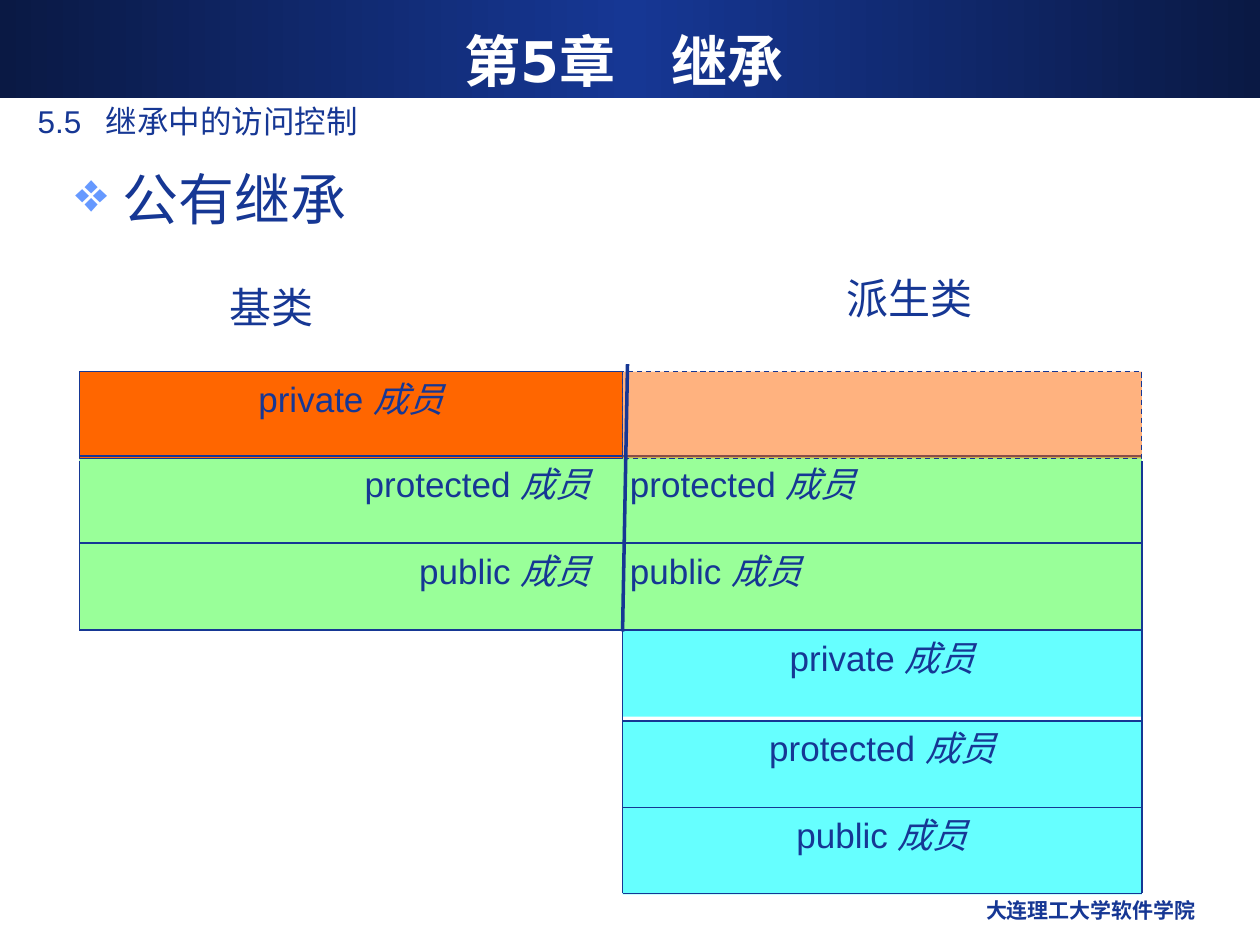
from copy import deepcopy
from typing import NamedTuple

from pptx import Presentation
from pptx.dml.color import RGBColor
from pptx.enum.dml import MSO_LINE
from pptx.enum.shapes import MSO_CONNECTOR, MSO_SHAPE
from pptx.enum.text import MSO_ANCHOR, PP_ALIGN
from pptx.oxml.ns import qn
from pptx.oxml.xmlchemy import OxmlElement
from pptx.util import Cm, Pt

COLORS = {
    "navy": "163794", "night": "0A1944", "white": "FFFFFF", "bullet": "6699FF",
    "orange": "FF6600", "green": "99FF99", "cyan": "66FFFF",
}

# Column edges and row edges of the diagram, in centimetres
LEFT, MIDDLE, RIGHT = 1.6, 12.55, 23.02
ROWS = [7.49, 9.2, 10.95, 12.7, 14.53, 16.28, 18.01]
ROW_HEIGHT = 1.75


class Label(NamedTuple):
    text: str
    left: float
    top: float
    width: float
    height: float
    size: int
    font: str = "Arial"
    color: str = "navy"
    bold: bool = False
    align: PP_ALIGN = PP_ALIGN.LEFT
    anchor: MSO_ANCHOR = MSO_ANCHOR.TOP
    inset: float = 0.25
    tabs: tuple = ()
    bullet: str = ""
    wrap: bool = True


class Band(NamedTuple):
    access: str
    row: int
    left: float
    right: float
    color: str
    shared: bool = False
    outlined: bool = False


class Rule(NamedTuple):
    x1: float
    y1: float
    x2: float
    y2: float
    width: float = 1


def rgb(name: str) -> RGBColor:
    return RGBColor.from_string(COLORS[name])


def add_tabs(paragraph, tabs: tuple) -> None:
    """Add (position in cm, alignment) tab stops."""
    if not tabs:
        return
    tab_list = OxmlElement("a:tabLst")
    for position, alignment in tabs:
        tab = OxmlElement("a:tab")
        tab.set("pos", str(Cm(position)))
        tab.set("algn", alignment)
        tab_list.append(tab)
    paragraph._p.get_or_add_pPr().append(tab_list)


def add_bullet(paragraph, symbol: str) -> None:
    properties = paragraph._p.get_or_add_pPr()
    properties.set("marL", str(Cm(0.95)))
    properties.set("indent", str(-Cm(0.95)))
    bullet_color = OxmlElement("a:buClr")
    value = OxmlElement("a:srgbClr")
    value.set("val", COLORS["bullet"])
    bullet_color.append(value)
    bullet = OxmlElement("a:buChar")
    bullet.set("char", symbol)
    properties.append(bullet_color)
    properties.append(bullet)


def add_run(paragraph, text: str, size: int, font: str = "Arial",
            color: str = "navy", bold: bool = False, italic: bool = False) -> None:
    run = paragraph.add_run()
    run.text = text
    run.font.size = Pt(size)
    run.font.name = font
    run.font.color.rgb = rgb(color)
    run.font.bold = bold
    run.font.italic = italic


def add_label(slide, label: Label) -> None:
    box = slide.shapes.add_textbox(Cm(label.left), Cm(label.top),
                                   Cm(label.width), Cm(label.height))
    frame = box.text_frame
    frame.word_wrap = label.wrap
    frame.vertical_anchor = label.anchor
    frame.margin_left = frame.margin_right = Cm(label.inset)
    paragraph = frame.paragraphs[0]
    paragraph.alignment = label.align
    if label.bullet:
        add_bullet(paragraph, label.bullet)
    add_tabs(paragraph, label.tabs)
    add_run(paragraph, label.text, label.size, label.font, label.color, label.bold)


def add_rectangle(slide, left: float, top: float, width: float, height: float):
    shape = slide.shapes.add_shape(MSO_SHAPE.RECTANGLE, Cm(left), Cm(top),
                                   Cm(width), Cm(height))
    shape.shadow.inherit = False
    shape.line.fill.background()
    return shape


def outline(shape) -> None:
    shape.line.color.rgb = rgb("navy")
    shape.line.width = Pt(0.75)


def add_band(slide, band: Band) -> None:
    shape = add_rectangle(slide, band.left, ROWS[band.row],
                          band.right - band.left, ROW_HEIGHT)
    shape.fill.solid()
    shape.fill.fore_color.rgb = rgb(band.color)
    if band.outlined:
        outline(shape)
    frame = shape.text_frame
    frame.word_wrap = True
    frame.vertical_anchor = MSO_ANCHOR.TOP
    paragraph = frame.paragraphs[0]
    paragraph.alignment = PP_ALIGN.LEFT if band.shared else PP_ALIGN.CENTER
    # A shared band names the member on both sides of the divider
    if band.shared:
        add_tabs(paragraph, ((10.06, "r"), (10.85, "l")))
    for lead in ("\t", "\t") if band.shared else ("",):
        add_run(paragraph, f"{lead}{band.access} ", 20)
        add_run(paragraph, "成员", 20, italic=True)


def add_rule(slide, rule: Rule) -> None:
    line = slide.shapes.add_connector(MSO_CONNECTOR.STRAIGHT, Cm(rule.x1), Cm(rule.y1),
                                      Cm(rule.x2), Cm(rule.y2))
    line.line.color.rgb = rgb("navy")
    line.line.width = Pt(rule.width)
    line._element.spPr.append(OxmlElement("a:effectLst"))


def add_banner(slide) -> None:
    banner = add_rectangle(slide, 0, 0, 25.4, 1.98)
    banner.fill.gradient()
    banner.fill.gradient_angle = 0
    stop_list = banner._element.spPr.find(".//" + qn("a:gsLst"))
    stop_list.append(deepcopy(stop_list[0]))
    stops = zip(banner.fill.gradient_stops, (0, 0.5, 1), ("night", "navy", "night"))
    for stop, position, color in stops:
        stop.position = position
        stop.color.rgb = rgb(color)


def add_hidden_member_cell(slide) -> None:
    """Private base members: present in the derived class but not accessible."""
    cell = add_rectangle(slide, MIDDLE, ROWS[0], RIGHT - MIDDLE, ROW_HEIGHT)
    cell.fill.solid()
    cell.fill.fore_color.rgb = rgb("orange")
    alpha = OxmlElement("a:alpha")
    alpha.set("val", "50000")
    cell._element.spPr.find(qn("a:solidFill"))[0].append(alpha)
    outline(cell)
    cell.line.dash_style = MSO_LINE.DASH


LABELS = [
    Label("第5章　继承", 0.84, 0.43, 23.5, 1.57, 32, "DejaVu Sans", "white", True,
          PP_ALIGN.CENTER, MSO_ANCHOR.MIDDLE, 0),
    Label("公有继承", 1.27, 3.2, 22.86, 14.58, 32, bullet="❖"),
    Label("大连理工大学软件学院", 16.31, 17.96, 8.05, 0.89, 12, bold=True,
          align=PP_ALIGN.RIGHT),
    Label("5.5\t继承中的访问控制", 0.51, 1.93, 23.5, 1.04, 18, tabs=((1.37, "l"),)),
    Label("基类", 4.37, 5.56, 4.09, 1.27, 24, "Times New Roman"),
    Label("派生类", 16.81, 5.36, 3.05, 1.27, 24, "Times New Roman", wrap=False),
]
BANDS = [
    Band("public", 2, LEFT, RIGHT, "green", shared=True),
    Band("protected", 1, LEFT, RIGHT, "green", shared=True),
    Band("private", 0, LEFT, MIDDLE, "orange", outlined=True),
    Band("public", 5, MIDDLE, RIGHT, "cyan"),
    Band("protected", 4, MIDDLE, RIGHT, "cyan"),
    Band("private", 3, MIDDLE, RIGHT, "cyan"),
]
RULES = (
    [Rule(LEFT, y, RIGHT, y) for y in ROWS[1:4]]
    + [Rule(MIDDLE, y, RIGHT, y) for y in ROWS[3:]]
    + [Rule(x, 9.3, x, ROWS[3]) for x in (LEFT, RIGHT)]
    + [Rule(x, ROWS[3], x, ROWS[6]) for x in (MIDDLE, RIGHT)]
)


def main() -> None:
    presentation = Presentation()
    presentation.slide_width, presentation.slide_height = Cm(25.4), Cm(19.05)
    slide = presentation.slides.add_slide(presentation.slide_layouts[6])
    add_banner(slide)
    # Member bands, then their ruling
    for band in BANDS:
        add_band(slide, band)
    for rule in RULES:
        add_rule(slide, rule)
    # Headings, captions and footer
    for label in LABELS:
        add_label(slide, label)
    # Inaccessible part and the divider between the classes
    add_hidden_member_cell(slide)
    add_rule(slide, Rule(12.65, 7.34, MIDDLE, 12.73, 2))
    presentation.save("out.pptx")


if __name__ == "__main__":
    main()
